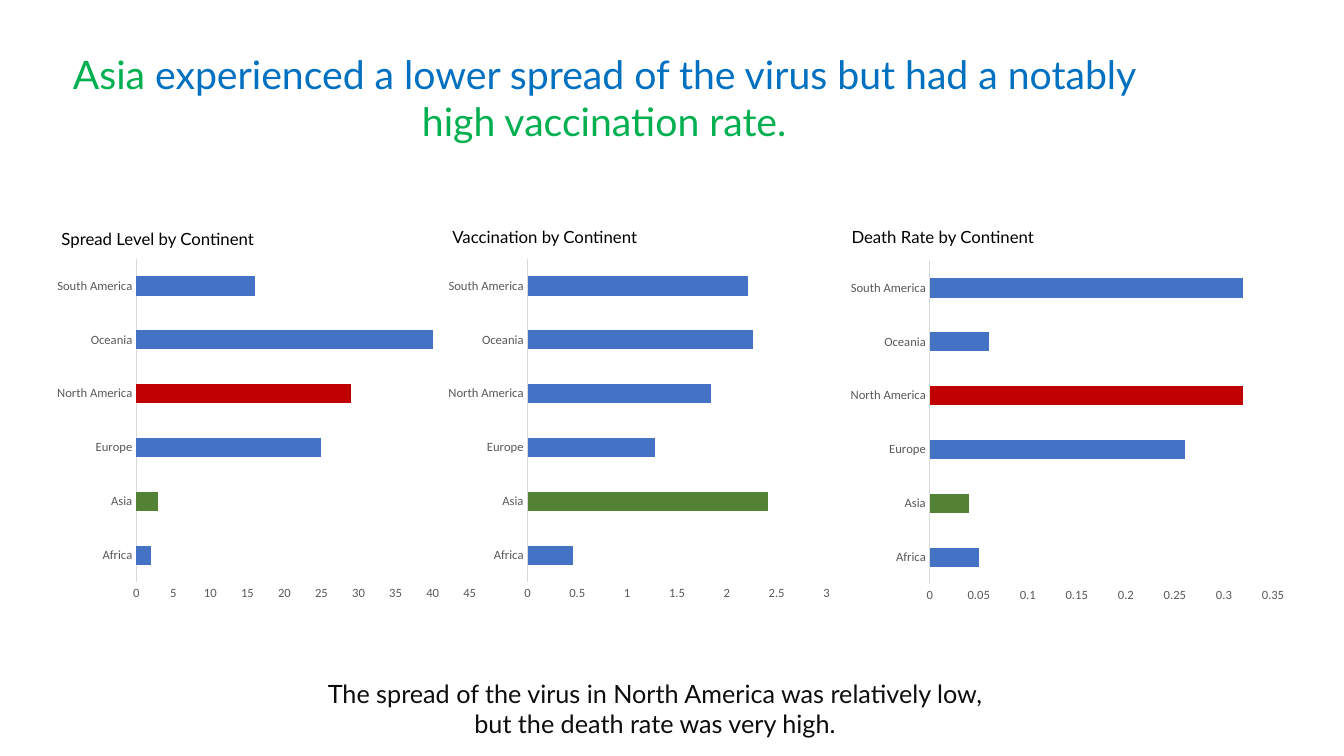
from pptx import Presentation
from pptx.chart.data import CategoryChartData
from pptx.dml.color import RGBColor
from pptx.enum.chart import XL_CHART_TYPE, XL_TICK_MARK
from pptx.enum.text import MSO_ANCHOR, PP_ALIGN
from pptx.util import Cm, Pt

GREEN = RGBColor(0x00, 0xB0, 0x50)
BLUE = RGBColor(0x00, 0x70, 0xC0)
BLACK = RGBColor(0x00, 0x00, 0x00)
INK = RGBColor(0x0D, 0x0D, 0x0D)
GREY = RGBColor(0x59, 0x59, 0x59)
RULE = RGBColor(0xD9, 0xD9, 0xD9)
BAR = RGBColor(0x44, 0x72, 0xC4)
ASIA = RGBColor(0x54, 0x82, 0x35)
NORTH = RGBColor(0xC0, 0x00, 0x00)

LANDS = ["Africa", "Asia", "Europe", "North America", "Oceania", "South America"]

# Heading, chart box (left, top, width, height), heading offset, values,
# axis maximum, axis step, highlighted bars; lengths in cm
PANELS = [
    ("Spread Level by Continent", (1.22, 6.35, 11, 8.97), (0.08, -0.71),
     [2, 3, 25, 29, 40, 16], 45, 5, {"Asia": ASIA, "North America": NORTH}),
    ("Vaccination by Continent", (11.1, 6.35, 10.01, 8.97), (0.05, -0.76),
     [0.46, 2.41, 1.28, 1.84, 2.26, 2.21], 3, 0.5, {"Asia": ASIA}),
    ("Death Rate by Continent", (21.21, 6.4, 11.38, 8.97), (0, -0.81),
     [0.05, 0.04, 0.26, 0.32, 0.06, 0.32], 0.35, 0.05,
     {"Asia": ASIA, "North America": NORTH}),
]


def style(font, size, color, name="Lato"):
    font.size = Pt(size)
    font.name = name
    font.color.rgb = color


def add_title(slide, box):
    title = slide.shapes.title
    title.left, title.top, title.width, title.height = map(Cm, box)
    frame = title.text_frame
    frame.word_wrap = True
    frame.vertical_anchor = MSO_ANCHOR.TOP
    line = frame.paragraphs[0]
    line.alignment = PP_ALIGN.CENTER
    parts = [
        ("Asia", GREEN),
        (" experienced a lower spread of the virus but had a notably ", BLUE),
        ("high vaccination rate.", GREEN),
    ]
    for text, color in parts:
        run = line.add_run()
        run.text = text
        style(run.font, 28, color)


def add_text(slide, box, text, size, color, align=PP_ALIGN.LEFT):
    frame = slide.shapes.add_textbox(*map(Cm, box)).text_frame
    frame.word_wrap = True
    frame.text = text
    line = frame.paragraphs[0]
    line.alignment = align
    style(line.runs[0].font, size, color)


def add_bars(slide, box, values, top, step, marks):
    data = CategoryChartData()
    data.categories = LANDS
    data.add_series("Series 1", values)
    chart = slide.shapes.add_chart(
        XL_CHART_TYPE.BAR_CLUSTERED, *map(Cm, box), data).chart
    chart.has_legend = False
    chart.has_title = False
    style(chart.font, 10, BLACK, "Calibri")

    # Axes
    for axis in (chart.category_axis, chart.value_axis):
        axis.has_major_gridlines = False
        axis.major_tick_mark = XL_TICK_MARK.NONE
        axis.minor_tick_mark = XL_TICK_MARK.NONE
        style(axis.tick_labels.font, 9, GREY, "Calibri")
    edge = chart.category_axis.format.line
    edge.color.rgb = RULE
    edge.width = Pt(0.75)
    scale = chart.value_axis
    scale.format.line.fill.background()
    scale.minimum_scale, scale.maximum_scale = 0, top
    scale.major_unit = step

    # Bars
    plot = chart.plots[0]
    plot.gap_width = 182
    plot.vary_by_categories = False
    bars = plot.series[0]
    bars.format.fill.solid()
    bars.format.fill.fore_color.rgb = BAR
    for land, color in marks.items():
        fill = bars.points[LANDS.index(land)].format.fill
        fill.solid()
        fill.fore_color.rgb = color


def add_panel(slide, head, box, shift, values, top, step, marks):
    add_bars(slide, box, values, top, step, marks)
    spot = (box[0] + shift[0], box[1] + shift[1], 7.52, 0.76)
    add_text(slide, spot, head, 12, BLACK)


def main():
    deck = Presentation()
    deck.slide_width, deck.slide_height = Cm(33.87), Cm(19.05)
    slide = deck.slides.add_slide(deck.slide_layouts.get_by_name("Title Only"))
    add_title(slide, (1.24, 1.14, 27.97, 2.64))
    for panel in PANELS:
        add_panel(slide, *panel)
    # Closing remark
    add_text(slide, (7.52, 16.97, 17.98, 1.8),
             "The spread of the virus in North America was relatively low, "
             "but the death rate was very high.", 18, INK, PP_ALIGN.CENTER)
    deck.save("out.pptx")


if __name__ == "__main__":
    main()
